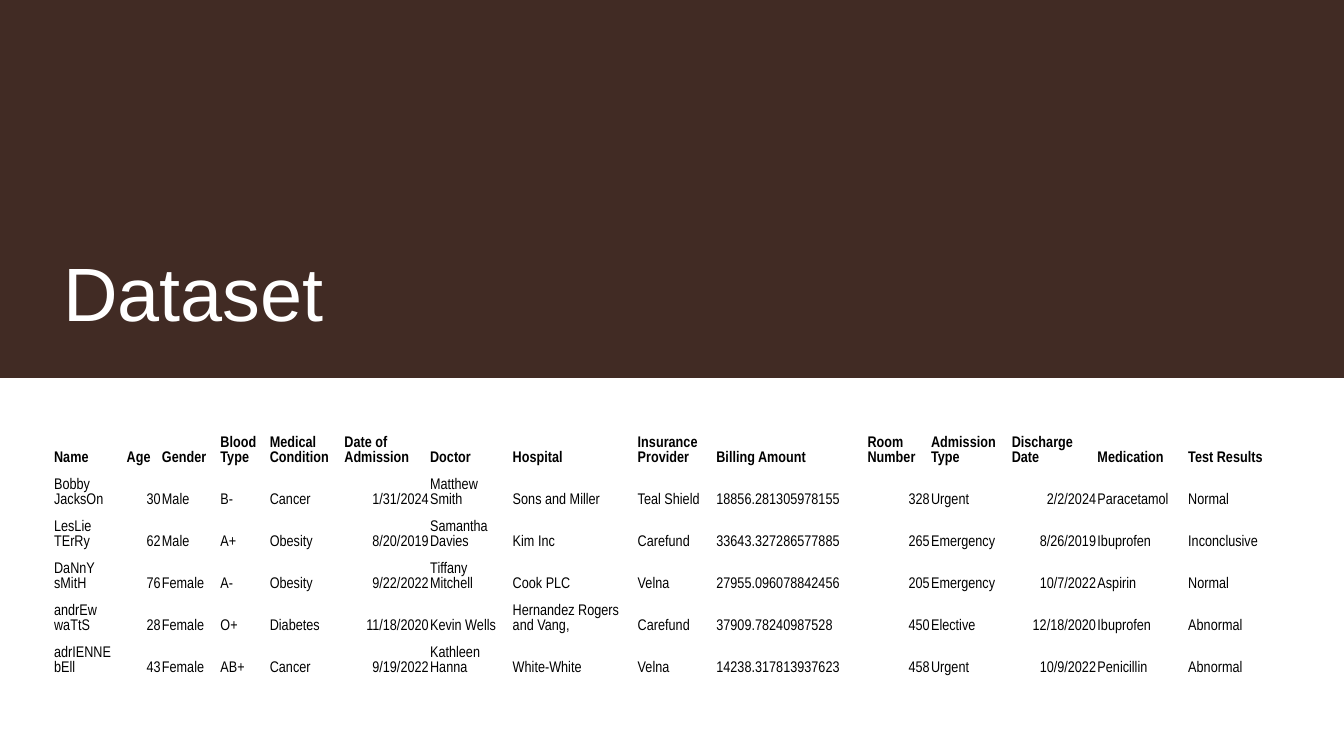
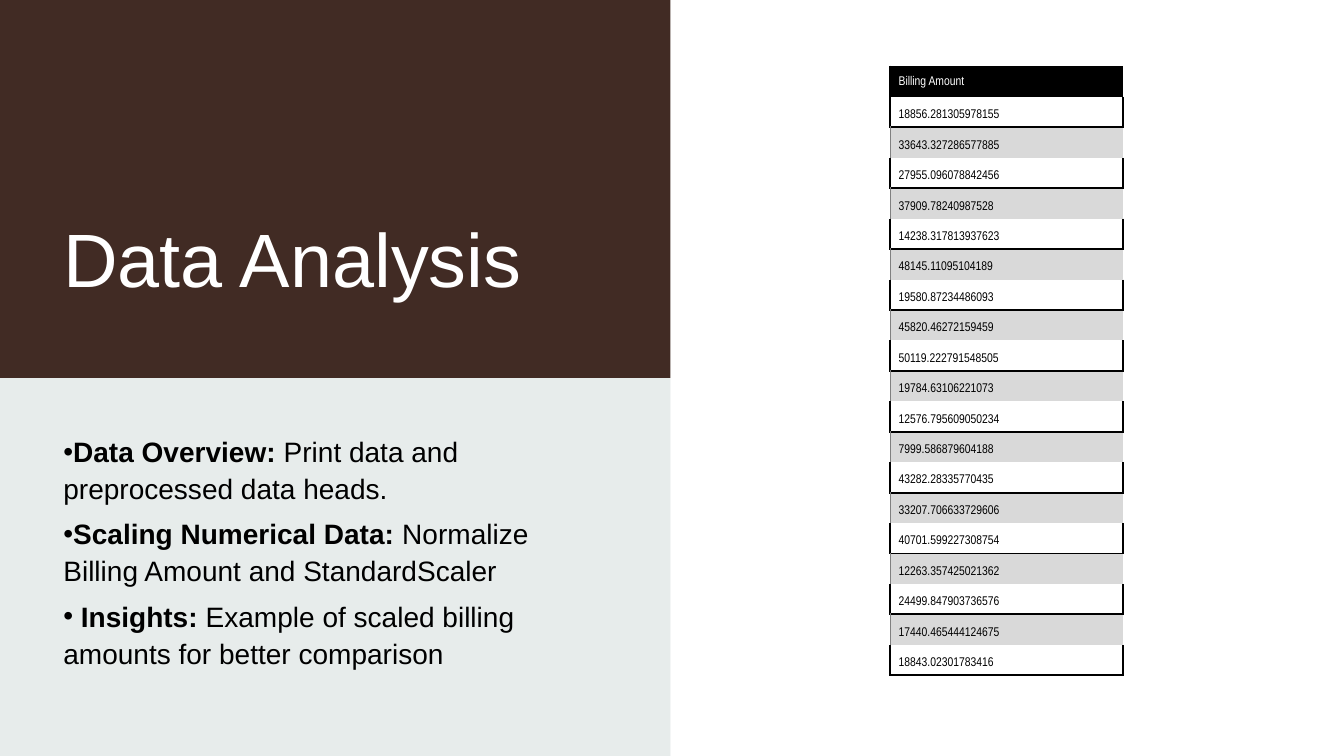
from lxml.etree import SubElement
from pptx import Presentation
from pptx.dml.color import RGBColor
from pptx.enum.shapes import MSO_SHAPE
from pptx.enum.text import MSO_ANCHOR, PP_ALIGN
from pptx.oxml.ns import qn
from pptx.util import Inches, Pt

COLORS = {
    "brown": "412B24",
    "panel": "E2E8E7",
    "white": "FFFFFF",
    "black": "000000",
    "stripe": "D9D9D9",
    "edge": "808080",
}
HEADING_FONT = "Arial"
TABLE_FONT = "Arial Narrow"
SLIDE_WIDTH, SLIDE_HEIGHT = 13.33, 7.5
BAND_HEIGHT = 3.75
PANEL_WIDTH = 6.65
MARGIN = 0.53

PATIENT_COLUMNS = [
    ("Name", 0.72), ("Age", 0.35), ("Gender", 0.58), ("Blood Type", 0.49),
    ("Medical Condition", 0.74), ("Date of Admission", 0.85), ("Doctor", 0.82),
    ("Hospital", 1.24), ("Insurance Provider", 0.78), ("Billing Amount", 1.5),
    ("Room Number", 0.63), ("Admission Type", 0.8), ("Discharge Date", 0.85),
    ("Medication", 0.9), ("Test Results", 0.89),
]
RIGHT_ALIGNED = {"Age", "Date of Admission", "Room Number", "Discharge Date"}
PATIENTS = [
    ("Bobby JacksOn", "30", "Male", "B-", "Cancer", "1/31/2024", "Matthew Smith",
     "Sons and Miller", "Teal Shield", "18856.281305978155", "328", "Urgent",
     "2/2/2024", "Paracetamol", "Normal"),
    ("LesLie TErRy", "62", "Male", "A+", "Obesity", "8/20/2019", "Samantha Davies",
     "Kim Inc", "Carefund", "33643.327286577885", "265", "Emergency",
     "8/26/2019", "Ibuprofen", "Inconclusive"),
    ("DaNnY sMitH", "76", "Female", "A-", "Obesity", "9/22/2022", "Tiffany Mitchell",
     "Cook PLC", "Velna", "27955.096078842456", "205", "Emergency",
     "10/7/2022", "Aspirin", "Normal"),
    ("andrEw waTtS", "28", "Female", "O+", "Diabetes", "11/18/2020", "Kevin Wells",
     "Hernandez Rogers and Vang,", "Carefund", "37909.78240987528", "450", "Elective",
     "12/18/2020", "Ibuprofen", "Abnormal"),
    ("adrIENNE bEll", "43", "Female", "AB+", "Cancer", "9/19/2022", "Kathleen Hanna",
     "White-White", "Velna", "14238.317813937623", "458", "Urgent",
     "10/9/2022", "Penicillin", "Abnormal"),
]
BILLING_COLUMN = [name for name, _ in PATIENT_COLUMNS].index("Billing Amount")
BILLING_AMOUNTS = [patient[BILLING_COLUMN] for patient in PATIENTS] + [
    "48145.11095104189", "19580.87234486093", "45820.46272159459",
    "50119.222791548505", "19784.63106221073", "12576.795609050234",
    "7999.586879604188", "43282.28335770435", "33207.706633729606",
    "40701.599227308754", "12263.357425021362", "24499.847903736576",
    "17440.465444124675", "18843.02301783416",
]
ANALYSIS_POINTS = [
    [("Data Overview:", True), (" Print data and preprocessed data heads.", False)],
    [("Scaling Numerical Data:", True),
     (" Normalize Billing Amount and StandardScaler", False)],
    [(" ", False), ("Insights:", True),
     (" Example of scaled billing amounts for better comparison", False)],
]


def rgb(color):
    return RGBColor.from_string(COLORS[color])


class Deck:
    def __init__(self):
        self.presentation = Presentation()
        self.presentation.slide_width = Inches(SLIDE_WIDTH)
        self.presentation.slide_height = Inches(SLIDE_HEIGHT)
        self.slide = None

    def add_slide(self):
        self.slide = self.presentation.slides.add_slide(
            self.presentation.slide_layouts[6])

    def add_title(self, title, band_width, width, height):
        """Add the brown band with a title seated at its foot."""
        self.add_block(0, band_width, "brown")
        frame = self.add_text(0.4, width, height, MSO_ANCHOR.BOTTOM)
        heading = frame.paragraphs[0]
        heading.text = title
        self.style(heading, HEADING_FONT, 54, "white")

    def add_block(self, top, width, color, opacity=None):
        """Add a half-height rectangle; opacity is a percentage."""
        block = self.slide.shapes.add_shape(
            MSO_SHAPE.RECTANGLE, 0, Inches(top), Inches(width), Inches(BAND_HEIGHT))
        block.shadow.inherit = False
        block.fill.solid()
        block.fill.fore_color.rgb = rgb(color)
        block.line.fill.background()
        if opacity is not None:
            tint = block._element.spPr.find(qn("a:solidFill")).find(qn("a:srgbClr"))
            SubElement(tint, qn("a:alpha"), val=str(opacity * 1000))

    def add_text(self, top, width, height, anchor):
        frame = self.slide.shapes.add_textbox(
            Inches(MARGIN), Inches(top), Inches(width), Inches(height)).text_frame
        frame.word_wrap = True
        frame.vertical_anchor = anchor
        return frame

    def add_bullets(self, points, top, width, height):
        frame = self.add_text(top, width, height, MSO_ANCHOR.TOP)
        for index, point in enumerate(points):
            paragraph = frame.add_paragraph() if index else frame.paragraphs[0]
            for words, bold in point:
                run = paragraph.add_run()
                run.text = words
                run.font.bold = bold
            self.style(paragraph, HEADING_FONT, 20, "black")
            paragraph.line_spacing = 1.1
            paragraph.space_after = Pt(6)
            properties = paragraph._p.get_or_add_pPr()
            properties.set("marL", "0")
            properties.set("indent", "0")
            SubElement(properties, qn("a:buFont"), typeface="Arial")
            SubElement(properties, qn("a:buChar"), char="•")

    def add_table(self, rows, left, top, widths, height):
        """Add an unbanded table filled with the given text and return it."""
        table = self.slide.shapes.add_table(
            len(rows), len(widths), Inches(left), Inches(top),
            Inches(sum(widths)), Inches(height)).table
        table.first_row = table.horz_banding = False
        for column, width in zip(table.columns, widths):
            column.width = Inches(width)
        for row, texts in zip(table.rows, rows):
            row.height = Inches(height / len(rows))
            for cell, text in zip(row.cells, texts):
                cell.text = text
        return table

    def style_cell(self, cell, size, insets, color="black", fill=None, bold=False,
                   align=PP_ALIGN.LEFT, anchor=MSO_ANCHOR.BOTTOM, borders=None):
        """Format a cell; insets are points from left clockwise, borders map side to line."""
        (cell.margin_left, cell.margin_top,
         cell.margin_right, cell.margin_bottom) = map(Pt, insets)
        cell.vertical_anchor = anchor
        paragraph = cell.text_frame.paragraphs[0]
        paragraph.alignment = align
        self.style(paragraph, TABLE_FONT, size, color, bold)
        if fill:
            cell.fill.solid()
            cell.fill.fore_color.rgb = rgb(fill)
        else:
            cell.fill.background()
        self.set_borders(cell, borders or {})

    @staticmethod
    def set_borders(cell, borders):
        properties = cell._tc.get_or_add_tcPr()
        for index, side in enumerate("LRTB"):
            border = SubElement(properties, qn(f"a:ln{side}"))
            properties.insert(index, border)
            if side in borders:
                color, width = borders[side]
                border.set("w", str(Pt(width)))
                solid = SubElement(border, qn("a:solidFill"))
                SubElement(solid, qn("a:srgbClr"), val=COLORS[color])
            else:
                SubElement(border, qn("a:noFill"))

    @staticmethod
    def style(paragraph, name, size, color, bold=None):
        font = paragraph.font
        font.name, font.size, font.bold = name, Pt(size), bold
        font.color.rgb = rgb(color)


def add_dataset_slide(deck):
    deck.add_slide()
    deck.add_title("Dataset", SLIDE_WIDTH, 11.89, 2.99)
    names, widths = zip(*PATIENT_COLUMNS)
    table = deck.add_table([names, *PATIENTS], MARGIN, 4.2, widths, 2.5)
    for index, row in enumerate(table.rows):
        for name, cell in zip(names, row.cells):
            to_right = index > 0 and name in RIGHT_ALIGNED
            deck.style_cell(cell, 11, (0.5, 0.5, 0.5, 0), bold=index == 0,
                            align=PP_ALIGN.RIGHT if to_right else PP_ALIGN.LEFT)


def add_analysis_slide(deck):
    deck.add_slide()
    deck.add_block(BAND_HEIGHT, PANEL_WIDTH, "panel")
    deck.add_block(BAND_HEIGHT, PANEL_WIDTH, "white", opacity=20)
    deck.add_title("Data Analysis", PANEL_WIDTH, 5.49, 2.65)
    deck.add_bullets(ANALYSIS_POINTS, 4.23, 5.49, 2.52)

    rule = ("black", 1.5)
    header = dict(color="white", fill="black", anchor=MSO_ANCHOR.MIDDLE,
                  borders={"L": rule, "T": rule})
    plain = dict(borders={"L": rule, "R": rule, "B": rule})
    striped = dict(fill="stripe", borders={"L": ("edge", 0.5), "T": rule})
    amounts = [("Billing Amount",)] + [(amount,) for amount in BILLING_AMOUNTS]
    table = deck.add_table(amounts, 8.83, 0.66, [2.31], 6.04)
    for index, row in enumerate(table.rows):
        look = header if index == 0 else plain if index % 2 else striped
        deck.style_cell(row.cells[0], 9, (6, 4.3, 0, 4.3), **look)


def main():
    deck = Deck()
    add_dataset_slide(deck)
    add_analysis_slide(deck)
    deck.presentation.save("out.pptx")


if __name__ == "__main__":
    main()
